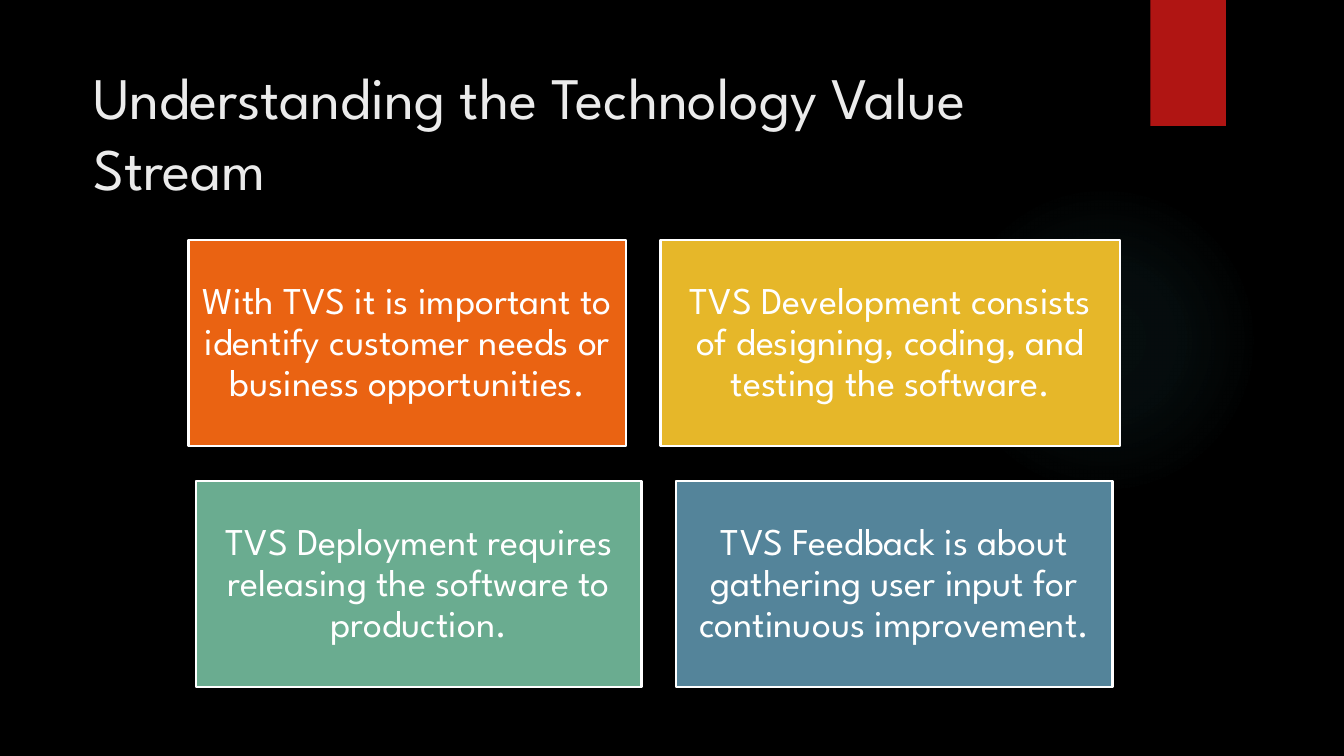
from dataclasses import dataclass

from lxml import etree
from pptx import Presentation
from pptx.dml.color import RGBColor
from pptx.enum import shapes, text
from pptx.oxml import parse_xml
from pptx.oxml.ns import nsdecls
from pptx.shapes.autoshape import Shape
from pptx.slide import Slide
from pptx.util import Pt


@dataclass(frozen=True)
class Theme:
    font: str = "League Spartan"
    title_size: float = 42
    card_size: float = 27
    background: str = "000000"
    title: str = "EBEBEB"
    white: str = "FFFFFF"
    ribbon: str = "B01513"
    glow: str = "50B9C1"
    orange: str = "EA6312"
    yellow: str = "E6B729"
    green: str = "6AAC90"
    blue: str = "54849A"


@dataclass(frozen=True)
class Box:
    left: float
    top: float
    width: float
    height: float


@dataclass(frozen=True)
class Card:
    wording: str
    color: str
    width: float


THEME = Theme()
TITLE = "Understanding the Technology Value Stream"
CARD_ROWS: list[list[Card]] = [
    [
        Card("With TVS it is important to identify customer needs or business opportunities.",
             THEME.orange, 312.6),
        Card("TVS Development consists of designing, coding, and testing the software.",
             THEME.yellow, 328.3),
    ],
    [
        Card("TVS Deployment requires releasing the software to production.",
             THEME.green, 318.2),
        Card("TVS Feedback is about gathering user input for continuous improvement.",
             THEME.blue, 311.8),
    ],
]
CARDS_CENTER = 467.4
CARDS_TOP = 171.2
CARD_HEIGHT = 147.6
CARD_GAP = 24.6
CARD_INSET = 8
GLOW_STOPS = [(0, 7), (36, 6), (69, 0)]


def add_block(slide: Slide, kind: shapes.MSO_SHAPE, box: Box, color: str) -> Shape:
    block = slide.shapes.add_shape(
        kind, Pt(box.left), Pt(box.top), Pt(box.width), Pt(box.height))
    block.shadow.inherit = False
    block.fill.solid()
    block.fill.fore_color.rgb = RGBColor.from_string(color)
    block.line.fill.background()
    return block


def add_glow(slide: Slide, box: Box) -> None:
    glow = add_block(slide, shapes.MSO_SHAPE.OVAL, box, THEME.glow)
    stops = "".join(
        f'<a:gs pos="{position * 1000}"><a:srgbClr val="{THEME.glow}">'
        f'<a:alpha val="{opacity * 1000}"/></a:srgbClr></a:gs>'
        for position, opacity in GLOW_STOPS)
    gradient: etree.ElementBase = parse_xml(
        f'<a:gradFill {nsdecls("a")} rotWithShape="1"><a:gsLst>{stops}</a:gsLst>'
        '<a:path path="circle"><a:fillToRect l="50000" t="50000" r="50000" b="50000"/>'
        '</a:path></a:gradFill>')
    properties = glow.fill._xPr
    properties.replace(properties.solidFill, gradient)


def write(shape: Shape, wording: str, size: float, color: str) -> None:
    frame = shape.text_frame
    frame.word_wrap = True
    frame.vertical_anchor = text.MSO_ANCHOR.MIDDLE
    frame.text = wording
    font = frame.paragraphs[0].font
    font.name = THEME.font
    font.size = Pt(size)
    font.color.rgb = RGBColor.from_string(color)


def add_title(slide: Slide, box: Box) -> None:
    title = slide.shapes.add_textbox(
        Pt(box.left), Pt(box.top), Pt(box.width), Pt(box.height))
    write(title, TITLE, THEME.title_size, THEME.title)


def add_card(slide: Slide, card: Card, left: float, top: float) -> None:
    box = Box(left, top, card.width, CARD_HEIGHT)
    block = add_block(slide, shapes.MSO_SHAPE.RECTANGLE, box, card.color)
    block.line.color.rgb = RGBColor.from_string(THEME.white)
    block.line.width = Pt(1.5)
    write(block, card.wording, THEME.card_size, THEME.white)
    frame = block.text_frame
    frame.margin_left = frame.margin_right = Pt(CARD_INSET)
    frame.margin_top = frame.margin_bottom = Pt(CARD_INSET)
    frame.paragraphs[0].alignment = text.PP_ALIGN.CENTER
    frame.paragraphs[0].line_spacing = 0.9


def add_card_rows(slide: Slide) -> None:
    for index, row in enumerate(CARD_ROWS):
        row_width = sum(card.width for card in row) + CARD_GAP * (len(row) - 1)
        left = CARDS_CENTER - row_width / 2
        top = CARDS_TOP + index * (CARD_HEIGHT + CARD_GAP)
        for card in row:
            add_card(slide, card, left, top)
            left += card.width + CARD_GAP


def main() -> None:
    deck = Presentation()
    deck.slide_width, deck.slide_height = Pt(960), Pt(540)
    slide = deck.slides.add_slide(deck.slide_layouts[6])
    slide.background.fill.solid()
    slide.background.fill.fore_color.rgb = RGBColor.from_string(THEME.background)
    add_glow(slide, Box(677.5, 131.8, 221.8, 221.8))
    add_block(slide, shapes.MSO_SHAPE.RECTANGLE, Box(821.7, 0, 54, 90), THEME.ribbon)
    add_title(slide, Box(59.5, 38.9, 740.9, 110.2))
    add_card_rows(slide)
    deck.save("out.pptx")


if __name__ == "__main__":
    main()
